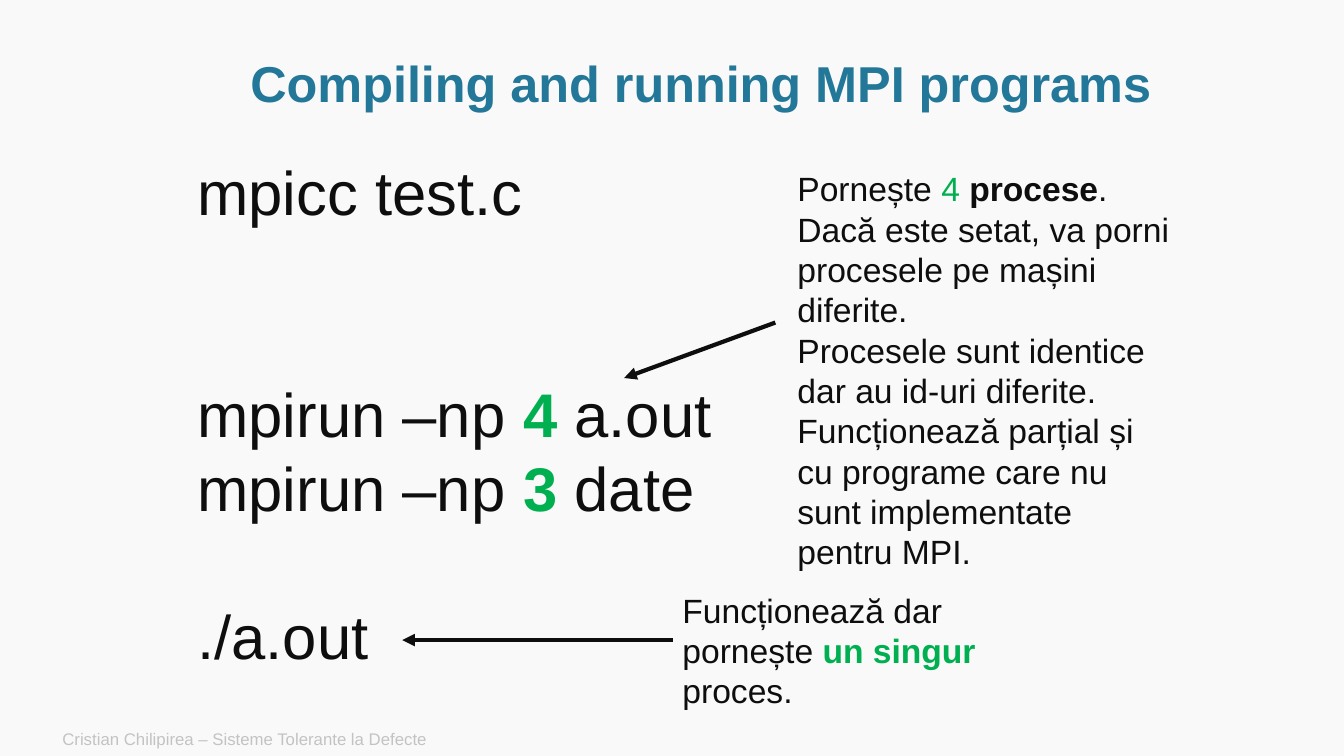
from lxml import etree
from pptx import Presentation
from pptx.dml.color import RGBColor
from pptx.enum import shapes, text
from pptx.oxml import ns
from pptx import util as u

WIDTH, HEIGHT = u.Inches(13.33), u.Inches(7.5)
FONT = "Arial"
LEADING = 1.2
COLOURS = {"paper": "F9F9F9", "ink": "0E0E0E", "title": "237798",
           "accent": "00B050", "footer": "C3C3C3"}
STYLES = {
    "title": {"size": u.Pt(36), "bold": True},
    "command": {"size": u.Pt(44), "bold": False},
    "note": {"size": u.Pt(24), "bold": False},
    "footer": {"size": u.Pt(12), "bold": False},
}


def colour(name):
    """Return a named colour of the slide."""
    return RGBColor.from_string(COLOURS[name])


def across(share):
    """Turn a percentage of the slide width into a length."""
    return u.Emu(round(WIDTH * share / 100))


def down(share):
    """Turn a percentage of the slide height into a length."""
    return u.Emu(round(HEIGHT * share / 100))


def area(left, top, width, height):
    """Turn four percentages into a position and a size."""
    return across(left), down(top), across(width), down(height)


def set_all(target, values):
    """Set each attribute named in a dict."""
    for name, value in values.items():
        setattr(target, name, value)


def add_run(paragraph, wording, style, ink="ink", **changes):
    """Add a run in a named style and colour."""
    run = paragraph.add_run()
    run.text = wording
    set_all(run.font, {"name": FONT, **STYLES[style], **changes})
    run.font.color.rgb = colour(ink)


def add_lines(slide, place, style, lines, **frame_format):
    """Add a text box of (blank lines before, runs) paragraphs."""
    frame = slide.shapes.add_textbox(*area(*place)).text_frame
    set_all(frame, {"word_wrap": True, **frame_format})
    pitch = STYLES[style]["size"] * LEADING
    for number, (gap, runs) in enumerate(lines):
        paragraph = frame.add_paragraph() if number else frame.paragraphs[0]
        paragraph.line_spacing = u.Emu(round(pitch))
        if gap:
            paragraph.space_before = u.Emu(round(gap * pitch))
        for wording, *look in runs:
            ink, bold = look or ("ink", False)
            add_run(paragraph, wording, style, ink, bold=bold)


def add_heading(slide, wording):
    """Place and format the title."""
    heading = slide.shapes.title
    set_all(heading, dict(zip(("left", "top", "width", "height"),
                              area(8.55, 6.8, 87.25, 9.2))))
    set_all(heading.text_frame, {"vertical_anchor": text.MSO_ANCHOR.MIDDLE,
                                 "word_wrap": True})
    paragraph = heading.text_frame.paragraphs[0]
    set_all(paragraph, {"alignment": text.PP_ALIGN.CENTER, "line_spacing": 0.9})
    add_run(paragraph, wording, "title", "title")


def add_arrow(slide, start, end):
    """Draw an arrow between two points given in percentages."""
    arrow = slide.shapes.add_connector(
        shapes.MSO_CONNECTOR.STRAIGHT, across(start[0]), down(start[1]),
        across(end[0]), down(end[1]))
    arrow.line.width = u.Pt(3)
    arrow.line.color.rgb = colour("ink")
    etree.SubElement(arrow.line._get_or_add_ln(), ns.qn("a:tailEnd"),
                     type="triangle")
    etree.SubElement(arrow._element.spPr, ns.qn("a:effectLst"))


def main():
    """Build the slide and save it."""
    deck = Presentation()
    set_all(deck, {"slide_width": WIDTH, "slide_height": HEIGHT})
    slide = deck.slides.add_slide(deck.slide_layouts[5])
    slide.background.fill.solid()
    slide.background.fill.fore_color.rgb = colour("paper")

    add_lines(slide, (3.9, 95.47, 63.02, 4.53), "footer",
              [(0, [("Cristian Chilipirea – Sisteme Tolerante la Defecte", "footer", False)])],
              vertical_anchor=text.MSO_ANCHOR.MIDDLE)
    add_heading(slide, "Compiling and running MPI programs")

    grow = {"auto_size": text.MSO_AUTO_SIZE.SHAPE_TO_FIT_TEXT}
    add_lines(slide, (13.95, 19.73, 40.14, 70.4), "command", [
        (0, [("mpicc test.c",)]),
        (2, [("mpirun –np ",), ("4 ", "accent", True), ("a.out",)]),
        (0, [("mpirun –np ",), ("3 ", "accent", True), ("date",)]),
        (1, [("./a.out",)]),
    ], word_wrap=False, **grow)
    add_lines(slide, (58.59, 21.6, 29.26, 55.2), "note", [
        (0, [("Pornește ",), ("4 ", "accent", False), ("procese", "ink", True), (".",)]),
        (0, [("Dacă este setat, va porni procesele pe mașini diferite.",)]),
        (0, [("Procesele sunt identice dar au id-uri diferite.",)]),
        (0, [("Funcționează parțial și cu programe care nu sunt implementate pentru MPI.",)]),
    ], **grow)
    add_arrow(slide, (57.69, 42.67), (46.44, 50))
    add_lines(slide, (50.04, 77.33, 24.23, 17.47), "note", [
        (0, [("Funcționează dar pornește ",), ("un singur ", "accent", True), ("proces.",)]),
    ], **grow)
    add_arrow(slide, (50.04, 84.67), (29.93, 84.67))
    deck.save("out.pptx")


if __name__ == "__main__":
    main()
